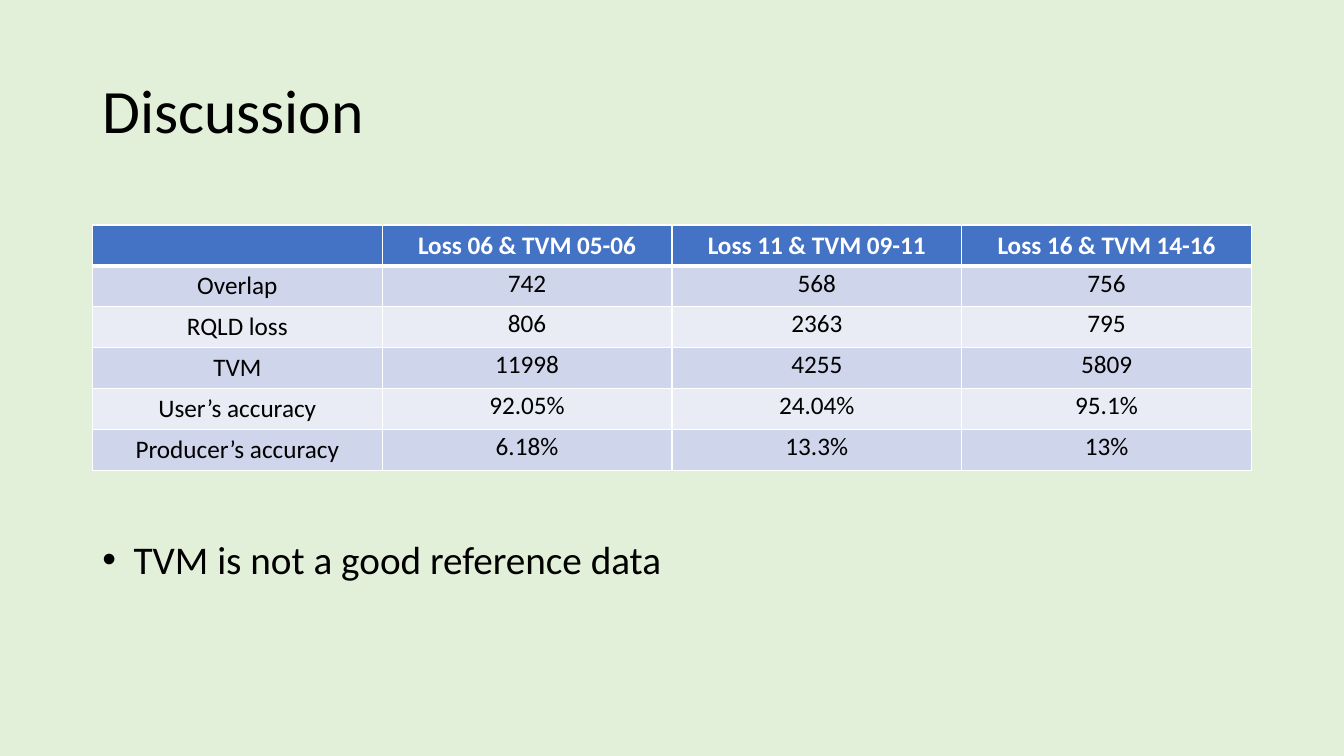
"""Build the Discussion slide: an accuracy table with one closing remark."""
from lxml.etree import SubElement
from pptx import Presentation
from pptx.dml.color import RGBColor
from pptx.enum.text import MSO_ANCHOR as Anchor, MSO_AUTO_SIZE as AutoSize, PP_ALIGN as Align
from pptx.oxml import parse_xml
from pptx.oxml.ns import nsdecls, qn
from pptx.util import Cm, Pt

TITLE = "Discussion"
REMARK = "TVM is not a good reference data"
ROWS = [
    ("", "Loss 06 & TVM 05-06", "Loss 11 & TVM 09-11", "Loss 16 & TVM 14-16"),
    ("Overlap", "742", "568", "756"),
    ("RQLD loss", "806", "2363", "795"),
    ("TVM", "11998", "4255", "5809"),
    ("User’s accuracy", "92.05%", "24.04%", "95.1%"),
    ("Producer’s accuracy", "6.18%", "13.3%", "13%"),
]
COLORS = {
    "page": "E2F0D9", "text": "000000", "white": "FFFFFF",
    "header": "4472C4", "odd": "CFD5EA", "even": "E9EBF5",
}
FONT = "Calibri"
LEFT, WIDTH = 2.33, 29.21
TABLE_TOP, ROW_HEIGHT = 5.67, 1.03


def color(name):
    return RGBColor.from_string(COLORS[name])


def write(frame, text, size=18, ink="text", bold=False, align=Align.LEFT, spacing=None):
    para = frame.paragraphs[0]
    para.alignment = align
    para.line_spacing = spacing
    span = para.add_run()
    span.text = text
    span.font.name = FONT
    span.font.size = Pt(size)
    span.font.bold = bold
    span.font.color.rgb = color(ink)
    return para


def add_box(page, top, width, height):
    frame = page.shapes.add_textbox(Cm(LEFT), Cm(top), Cm(width), Cm(height)).text_frame
    frame.word_wrap = True
    return frame


def add_bullet(para, indent):
    props = para._p.get_or_add_pPr()
    props.set("marL", str(Cm(indent)))
    props.set("indent", str(-Cm(indent)))
    SubElement(props, qn("a:buFont"), typeface="Arial")
    SubElement(props, qn("a:buChar"), char="•")


def set_borders(cell, bottom):
    props = cell._tc.get_or_add_tcPr()
    widths = {"lnL": 1, "lnR": 1, "lnT": 1, "lnB": bottom}
    for place, (side, width) in enumerate(widths.items()):
        props.insert(place, parse_xml(
            f'<a:{side} {nsdecls("a")} w="{Pt(width)}"><a:solidFill>'
            f'<a:srgbClr val="{COLORS["white"]}"/></a:solidFill></a:{side}>'))


def format_cell(cell, text, row, col):
    header = row == 0
    cell.fill.solid()
    cell.fill.fore_color.rgb = color("header" if header else "odd" if row % 2 else "even")
    set_borders(cell, bottom=3 if header else 1)
    number = not header and col > 0
    if number:
        cell.margin_left = cell.margin_right = Cm(0.19)
        cell.margin_top = cell.margin_bottom = Cm(0)
    if text:
        write(cell.text_frame, text, ink="white" if header else "text", bold=header,
              align=Align.CENTER, spacing=1.07 if number else None)


def add_accuracy_table(page):
    table = page.shapes.add_table(len(ROWS), len(ROWS[0]), Cm(LEFT), Cm(TABLE_TOP),
                                  Cm(WIDTH), Cm(ROW_HEIGHT * len(ROWS))).table
    for table_row in table.rows:
        table_row.height = Cm(ROW_HEIGHT)
    for row, values in enumerate(ROWS):
        for col, text in enumerate(values):
            format_cell(table.cell(row, col), text, row, col)


def main():
    deck = Presentation()
    deck.slide_width, deck.slide_height = Cm(33.87), Cm(19.05)
    page = deck.slides.add_slide(deck.slide_layouts[6])
    page.background.fill.solid()
    page.background.fill.fore_color.rgb = color("page")

    title = add_box(page, 1.01, WIDTH, 3.68)
    title.vertical_anchor = Anchor.MIDDLE
    write(title, TITLE, size=44, spacing=0.9)

    add_accuracy_table(page)

    remark = add_box(page, 13.36, 28.91, 1.45)
    remark.auto_size = AutoSize.SHAPE_TO_FIT_TEXT
    add_bullet(write(remark, REMARK, size=28), 0.79)

    deck.save("out.pptx")


if __name__ == "__main__":
    main()
